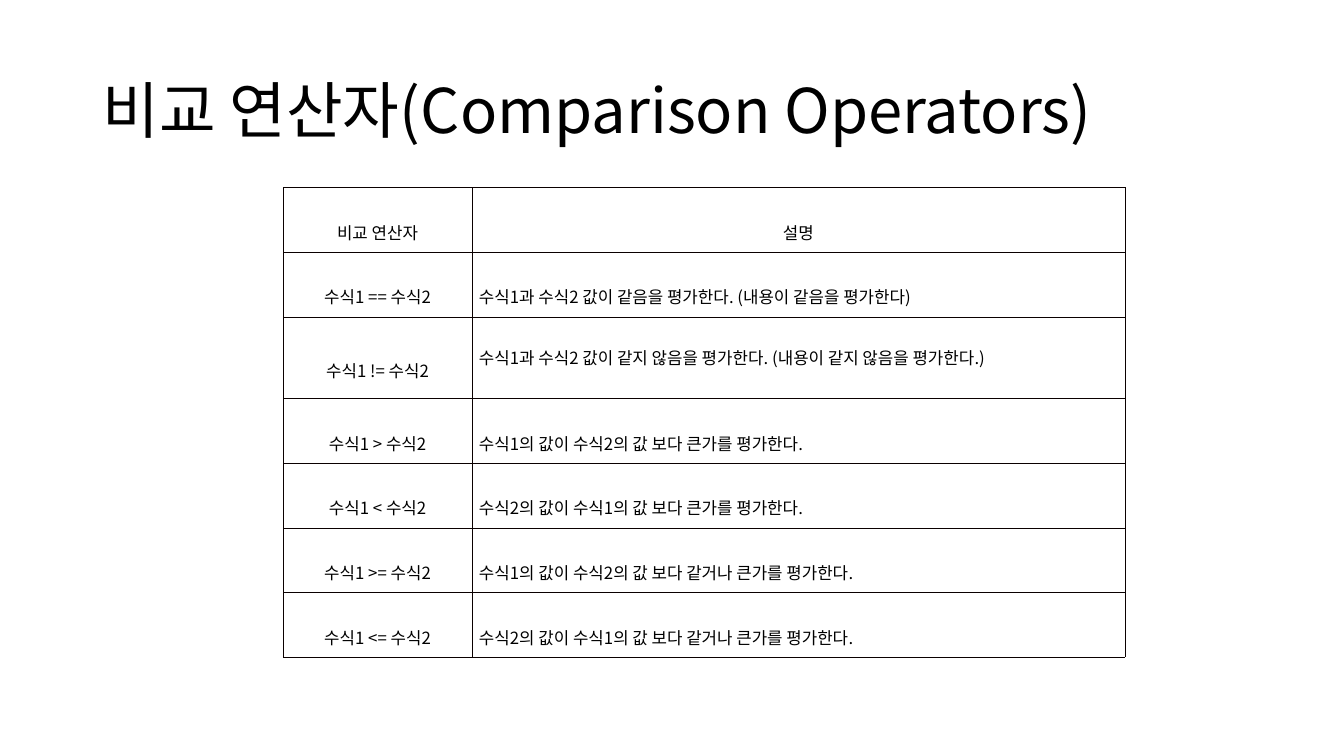
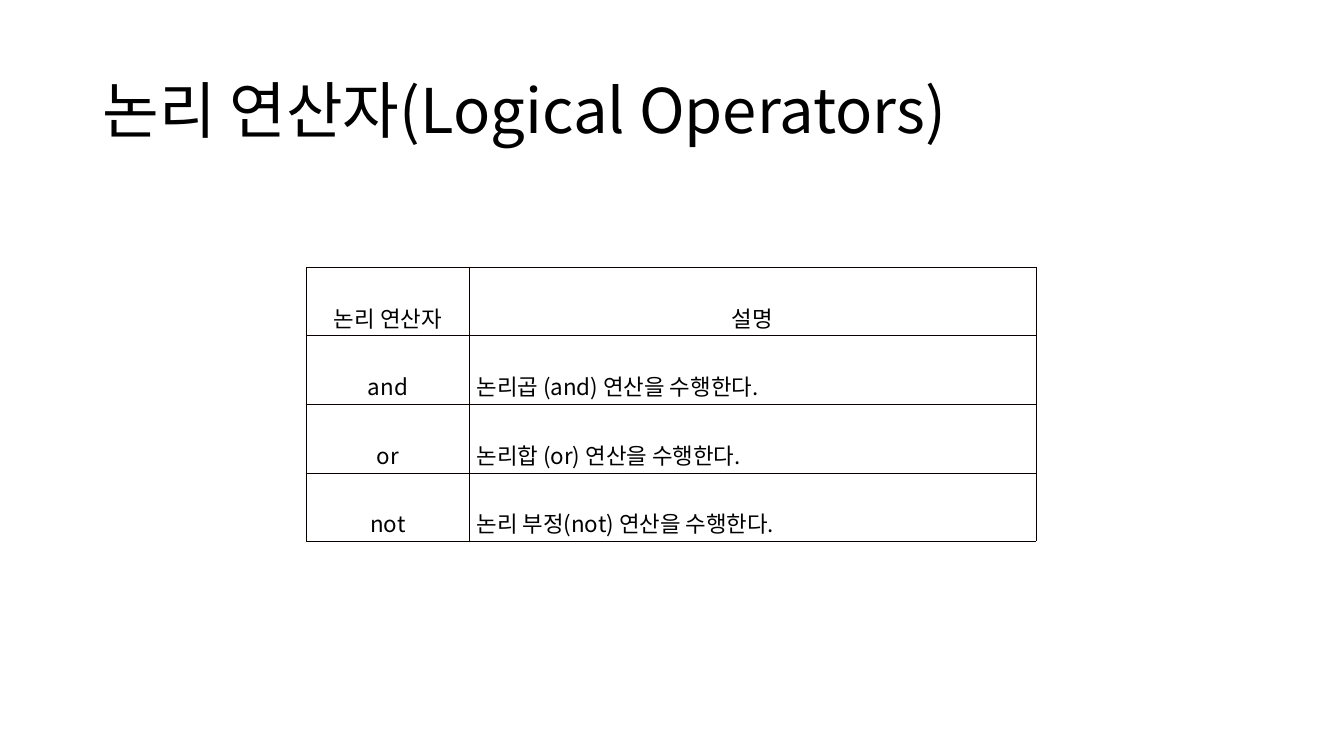
from dataclasses import dataclass

from lxml import etree
from pptx import Presentation
from pptx.dml.color import RGBColor
from pptx.enum.text import MSO_ANCHOR, MSO_AUTO_SIZE, PP_ALIGN
from pptx.oxml.ns import qn
from pptx.util import Cm, Pt

LEFT, CENTER, JUSTIFY = PP_ALIGN.LEFT, PP_ALIGN.CENTER, PP_ALIGN.JUSTIFY
MIDDLE = MSO_ANCHOR.MIDDLE
NO_AUTOFIT = MSO_AUTO_SIZE.NONE

# Shared style
FONT = "Noto Sans CJK KR"
TEXT_COLOR = "000000"
CELL_COLOR = "FFFFFF"
BORDER_COLOR = "0A0000"
BORDER_WIDTH = Pt(0.28)
BORDER_TAGS = ("a:lnL", "a:lnR", "a:lnT", "a:lnB")
TITLE_ONLY_LAYOUT = 5


@dataclass(frozen=True)
class OperatorRow:
    operator: str
    description: str
    height: float
    description_spacing: float = 2.0


@dataclass(frozen=True)
class OperatorSlide:
    title: str
    left: float
    top: float
    column_widths: tuple[float, float]
    font_size: float
    rows: tuple[OperatorRow, ...]


COMPARISON = OperatorSlide(
    "비교 연산자(Comparison Operators)", 7.14, 4.72, (4.75, 16.46), 12,
    (
        OperatorRow("비교 연산자", "설명", 1.63),
        OperatorRow("수식1 == 수식2", "수식1과 수식2 값이 같음을 평가한다. (내용이 같음을 평가한다)", 1.63),
        OperatorRow("수식1 != 수식2", "수식1과 수식2 값이 같지 않음을 평가한다. (내용이 같지 않음을 평가한다.)", 2.06, 1.0),
        OperatorRow("수식1 > 수식2", "수식1의 값이 수식2의 값 보다 큰가를 평가한다.", 1.63),
        OperatorRow("수식1 < 수식2", "수식2의 값이 수식1의 값 보다 큰가를 평가한다.", 1.63),
        OperatorRow("수식1 >= 수식2", "수식1의 값이 수식2의 값 보다 같거나 큰가를 평가한다.", 1.63),
        OperatorRow("수식1 <= 수식2", "수식2의 값이 수식1의 값 보다 같거나 큰가를 평가한다.", 1.63),
    ),
)
LOGICAL = OperatorSlide(
    "논리 연산자(Logical Operators)", 7.72, 6.73, (4.11, 14.27), 16,
    (
        OperatorRow("논리 연산자", "설명", 1.09),
        OperatorRow("and", "논리곱 (and) 연산을 수행한다.", 1.09),
        OperatorRow("or", "논리합 (or) 연산을 수행한다.", 1.09),
        OperatorRow("not", "논리 부정(not) 연산을 수행한다.", 1.09),
    ),
)


def color(value: str) -> RGBColor:
    return RGBColor.from_string(value)


def write_text(text_frame, text: str, *, size: float, align: PP_ALIGN,
               line_spacing: float, space_after: float = 0) -> None:
    """Write one formatted paragraph, with the font set for Hangul too."""
    paragraph = text_frame.paragraphs[0]
    paragraph.alignment = align
    paragraph.line_spacing = line_spacing
    paragraph.space_before = Pt(0)
    paragraph.space_after = Pt(space_after)
    run = paragraph.add_run()
    run.text = text
    run.font.size = Pt(size)
    run.font.name = FONT
    run.font.color.rgb = color(TEXT_COLOR)
    properties = run._r.get_or_add_rPr()
    etree.SubElement(properties, qn("a:ea"), typeface=FONT)


def add_borders(cell) -> None:
    properties = cell._tc.get_or_add_tcPr()
    for tag in BORDER_TAGS:
        line = etree.SubElement(properties, qn(tag), w=str(int(BORDER_WIDTH)))
        fill = etree.SubElement(line, qn("a:solidFill"))
        etree.SubElement(fill, qn("a:srgbClr"), val=BORDER_COLOR)


def fill_cell(cell, text: str, size: float, align: PP_ALIGN, line_spacing: float) -> None:
    cell.vertical_anchor = MIDDLE
    cell.margin_left = cell.margin_right = Cm(0.18)
    cell.margin_top = cell.margin_bottom = Cm(0.05)
    add_borders(cell)
    cell.fill.solid()
    cell.fill.fore_color.rgb = color(CELL_COLOR)
    write_text(cell.text_frame, text, size=size, align=align,
               line_spacing=line_spacing, space_after=10)


def add_title(slide, text: str) -> None:
    title = slide.shapes.title
    title.left, title.top = Cm(2.33), Cm(1.02)
    title.width, title.height = Cm(29.21), Cm(3.68)
    title.text_frame.vertical_anchor = MIDDLE
    title.text_frame.auto_size = NO_AUTOFIT
    write_text(title.text_frame, text, size=44, align=LEFT, line_spacing=0.9)


def add_operator_table(slide, content: OperatorSlide) -> None:
    rows, widths = content.rows, content.column_widths
    table = slide.shapes.add_table(
        len(rows), len(widths), Cm(content.left), Cm(content.top),
        Cm(sum(widths)), Cm(sum(row.height for row in rows)),
    ).table
    table.first_row = table.horz_banding = False
    for column, width in zip(table.columns, widths):
        column.width = Cm(width)
    for index, row in enumerate(rows):
        table.rows[index].height = Cm(row.height)
        # Only the header row centres its description
        description_align = JUSTIFY if index else CENTER
        fill_cell(table.cell(index, 0), row.operator, content.font_size, CENTER, 2.0)
        fill_cell(table.cell(index, 1), row.description, content.font_size,
                  description_align, row.description_spacing)


def main() -> None:
    presentation = Presentation()
    presentation.slide_width, presentation.slide_height = Cm(33.87), Cm(19.05)
    for content in (COMPARISON, LOGICAL):
        slide = presentation.slides.add_slide(presentation.slide_layouts[TITLE_ONLY_LAYOUT])
        add_title(slide, content.title)
        add_operator_table(slide, content)
    presentation.save("out.pptx")


if __name__ == "__main__":
    main()
